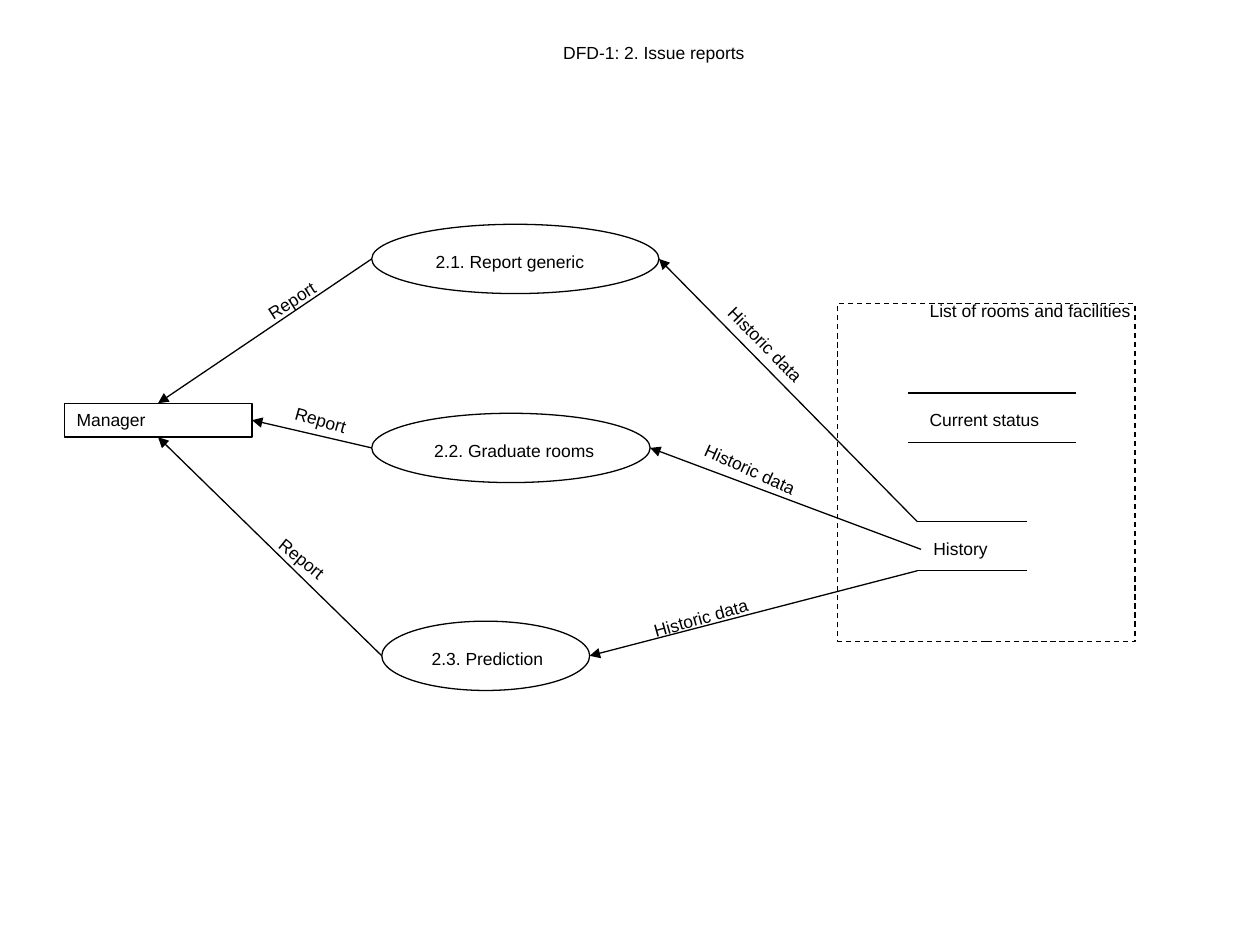
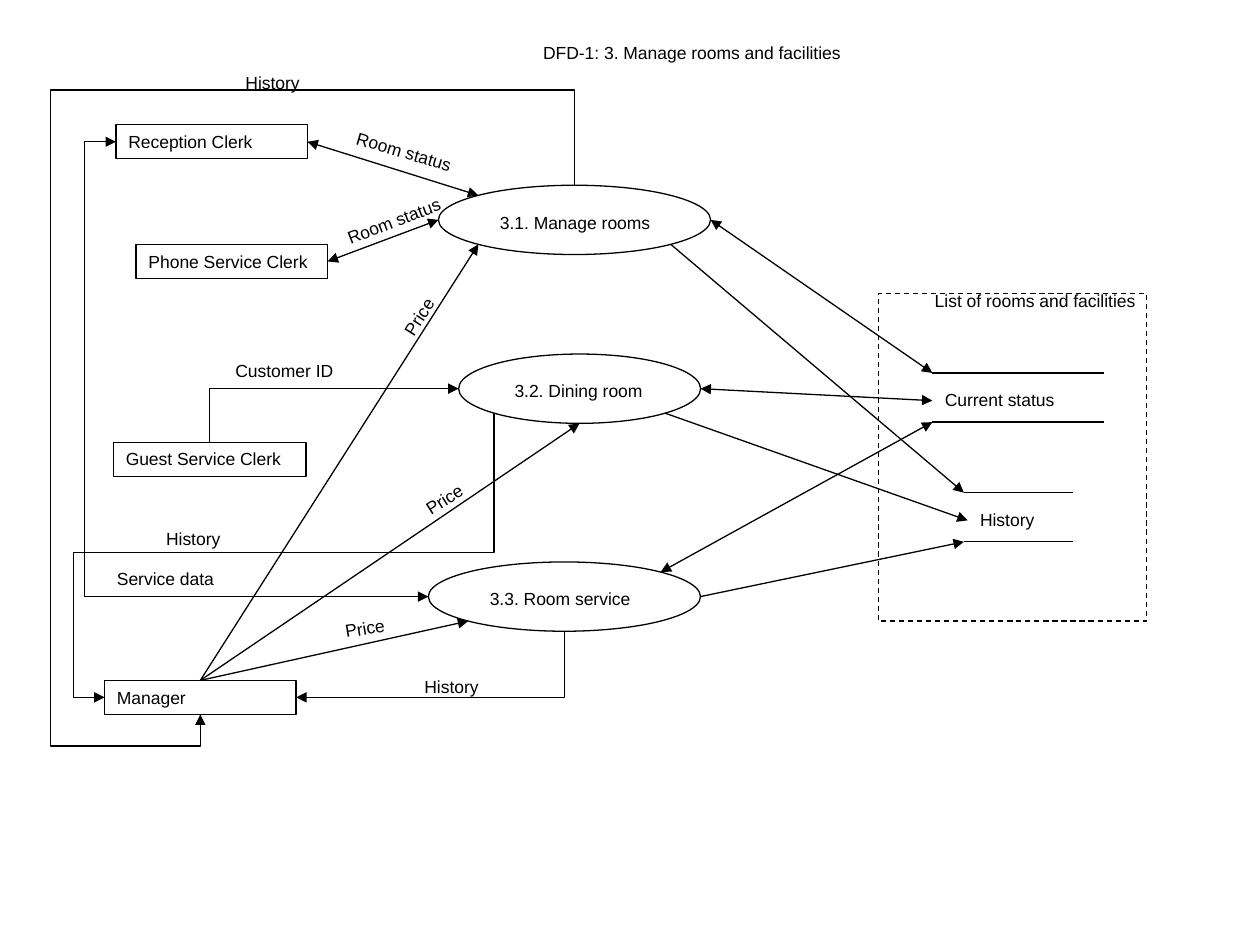
from dataclasses import dataclass
from math import cos, radians, sin

from lxml.etree import SubElement
from pptx import Presentation
from pptx.dml.color import RGBColor
from pptx.enum.dml import MSO_LINE
from pptx.enum.shapes import MSO_CONNECTOR, MSO_SHAPE
from pptx.enum.text import MSO_ANCHOR, MSO_AUTO_SIZE, PP_ALIGN
from pptx.oxml.ns import qn
from pptx.util import Inches, Pt


@dataclass(frozen=True)
class Theme:
    ink: RGBColor = RGBColor(0, 0, 0)
    font: str = "Arial"
    text_size: Pt = Pt(10)
    line_width: Pt = Pt(0.75)
    text_height: float = 0.27
    process_height: float = 0.55
    store_height: float = 0.39


THEME = Theme()

# Compass directions as clockwise angles from the right-hand side
EAST, SOUTHEAST, SOUTH, SOUTHWEST, WEST, NORTHWEST, NORTH, NORTHEAST = range(0, 360, 45)


def write_text(shape, text, wrap=True):
    """Write left-aligned text; one-line text gets a slim right margin so that it always fits."""
    frame = shape.text_frame
    frame.text = text
    frame.word_wrap = wrap
    frame.auto_size = MSO_AUTO_SIZE.SHAPE_TO_FIT_TEXT
    frame.vertical_anchor = MSO_ANCHOR.TOP
    frame.margin_left = Inches(0.1)
    frame.margin_right = Inches(0.1 if wrap else 0.02)
    frame.margin_top = frame.margin_bottom = Inches(0.05)
    paragraph = frame.paragraphs[0]
    paragraph.alignment = PP_ALIGN.LEFT
    font = paragraph.runs[0].font
    font.name = THEME.font
    font.size = THEME.text_size
    font.color.rgb = THEME.ink


def style_line(line):
    line.color.rgb = THEME.ink
    line.width = THEME.line_width


def add_title_slide(presentation, text, left, width):
    slide = presentation.slides.add_slide(presentation.slide_layouts[5])
    title = slide.shapes.title
    title.left, title.top = Inches(left), Inches(0.28)
    title.width, title.height = Inches(width), Inches(THEME.text_height)
    write_text(title, text, wrap=False)
    return slide


def add_label(slide, text, left, top, width, rotation=0, wrap=False):
    label = slide.shapes.add_textbox(
        Inches(left), Inches(top), Inches(width), Inches(THEME.text_height))
    write_text(label, text, wrap)
    label.rotation = rotation


def add_outline(slide, preset, left, top, width, height):
    shape = slide.shapes.add_shape(
        preset, Inches(left), Inches(top), Inches(width), Inches(height))
    shape.shadow.inherit = False
    shape.fill.background()
    style_line(shape.line)
    return shape


def add_entity(slide, text, left, top, width=1.52):
    entity = add_outline(slide, MSO_SHAPE.RECTANGLE, left, top, width, THEME.text_height)
    write_text(entity, text)
    return entity


def add_process(slide, text, left, top, width):
    process = add_outline(slide, MSO_SHAPE.OVAL, left, top, width, THEME.process_height)
    add_label(slide, text, left + 0.18 * width, top + 0.16, 0.73 * width, wrap=True)
    return process


def add_facilities_frame(slide, left, top, width, height, label_left):
    frame = add_outline(slide, MSO_SHAPE.RECTANGLE, left, top, width, height)
    frame.line.dash_style = MSO_LINE.DASH
    add_label(slide, "List of rooms and facilities", label_left, top - 0.08, 1.79)


def add_arrowheads(connector, start_head, end_head):
    line = connector.line._get_or_add_ln()
    for tag, wanted in (("a:headEnd", start_head), ("a:tailEnd", end_head)):
        if wanted:
            SubElement(line, qn(tag), type="triangle")


def add_line(slide, start, end, start_head=False, end_head=False, kind=MSO_CONNECTOR.STRAIGHT):
    connector = slide.shapes.add_connector(kind, *(Inches(value) for value in (*start, *end)))
    style_line(connector.line)
    SubElement(connector._element.spPr, qn("a:effectLst"))
    add_arrowheads(connector, start_head, end_head)
    return connector


def add_flow(slide, start, end, two_way=False):
    add_line(slide, start, end, start_head=two_way, end_head=True)


def add_elbow_flow(slide, start, end, bends, turn=0, adjustments=(), two_way=False):
    """Draw a bent arrow; turn rotates its unrotated box about the midpoint of the ends."""
    width, height = abs(end[0] - start[0]), abs(end[1] - start[1])
    if turn in (90, 270):
        width, height = height, width
    left = (start[0] + end[0] - width) / 2
    top = (start[1] + end[1] - height) / 2
    connector = add_line(slide, (left, top), (left + width, top + height),
                         two_way, True, MSO_CONNECTOR.ELBOW)
    properties = connector._element.spPr
    properties.find(qn("a:xfrm")).set("rot", str(turn * 60000))
    geometry = properties.find(qn("a:prstGeom"))
    geometry.set("prst", f"bentConnector{bends + 1}")
    guides = geometry.find(qn("a:avLst"))
    for number, share in enumerate(adjustments, start=1):
        SubElement(guides, qn("a:gd"), name=f"adj{number}", fmla=f"val {round(share * 100000)}")


def add_store(slide, text, left, top, width, text_left, text_width):
    """Draw a data store and return its top, middle and bottom points on the left."""
    bottom = top + THEME.store_height
    for y in (top, bottom):
        add_line(slide, (left, y), (left + width, y))
    add_label(slide, text, text_left, top + 0.08, text_width, wrap=True)
    return (left, top), (text_left, top + 0.22), (left, bottom)


def anchor(shape, angle):
    """Point in inches on an ellipse, or on a side's middle of a rectangle."""
    half_width, half_height = shape.width.inches / 2, shape.height.inches / 2
    return (shape.left.inches + half_width * (1 + cos(radians(angle))),
            shape.top.inches + half_height * (1 + sin(radians(angle))))


def build_issue_reports(presentation):
    slide = add_title_slide(presentation, "DFD-1: 2. Issue reports", 4.37, 1.64)
    add_facilities_frame(slide, 6.65, 2.41, 2.36, 2.68, label_left=7.28)
    manager = add_entity(slide, "Manager", 0.51, 3.2, 1.49)
    generic = add_process(slide, "2.1. Report generic", 2.95, 1.78, 2.28)
    graduate = add_process(slide, "2.2. Graduate rooms", 2.95, 3.28, 2.21)
    prediction = add_process(slide, "2.3. Prediction", 3.03, 4.93, 1.65)
    add_store(slide, "Current status", 7.21, 3.12, 1.33, 7.28, 1.26)
    history = add_store(slide, "History", 7.28, 4.14, 0.87, 7.31, 0.77)

    processes = (generic, graduate, prediction)
    for process, manager_side, history_point in zip(processes, (NORTH, EAST, SOUTH), history):
        add_flow(slide, anchor(process, WEST), anchor(manager, manager_side))
        add_flow(slide, history_point, anchor(process, EAST))

    for left, top, rotation in ((5.59, 2.6, 45.5), (5.47, 3.59, 24), (5.08, 4.77, 344.2)):
        add_label(slide, "Historic data", left, top, 0.97, rotation)
    for left, top, rotation in ((2.01, 2.25, 327.5), (2.24, 3.2, 16), (2.09, 4.3, 39.1)):
        add_label(slide, "Report", left, top, 0.61, rotation)


def build_manage_rooms(presentation):
    slide = add_title_slide(presentation, "DFD-1: 3. Manage rooms and facilities", 4.21, 2.56)
    add_facilities_frame(slide, 6.97, 2.33, 2.13, 2.6, label_left=7.32)
    rooms = add_process(slide, "3.1. Manage rooms", 3.48, 1.47, 2.16)
    dining = add_process(slide, "3.2. Dining room", 3.64, 2.81, 1.92)
    service = add_process(slide, "3.3. Room service", 3.4, 4.46, 2.16)
    status = add_store(slide, "Current status", 7.4, 2.96, 1.36, 7.4, 1.28)
    history = add_store(slide, "History", 7.65, 3.91, 0.87, 7.68, 0.78)
    reception = add_entity(slide, "Reception Clerk", 0.92, 0.99)
    phone = add_entity(slide, "Phone Service Clerk", 1.08, 1.94)
    guest = add_entity(slide, "Guest Service Clerk", 0.9, 3.51, 1.53)
    manager = add_entity(slide, "Manager", 0.83, 5.4)

    store_flows = ((rooms, EAST, SOUTHEAST), (dining, EAST, SOUTHEAST), (service, NORTHEAST, EAST))
    for (process, status_side, history_side), status_point, history_point in zip(
            store_flows, status, history):
        add_flow(slide, anchor(process, status_side), status_point, two_way=True)
        add_flow(slide, anchor(process, history_side), history_point)

    for process, side in ((rooms, SOUTHWEST), (dining, SOUTH), (service, SOUTHWEST)):
        add_flow(slide, anchor(manager, NORTH), anchor(process, side))
    add_flow(slide, anchor(reception, EAST), anchor(rooms, NORTHWEST), two_way=True)
    add_flow(slide, anchor(phone, EAST), anchor(rooms, WEST), two_way=True)

    add_elbow_flow(slide, anchor(reception, WEST), anchor(service, WEST), bends=2,
                   adjustments=(-0.1,), two_way=True)
    add_elbow_flow(slide, anchor(guest, NORTH), anchor(dining, WEST), bends=1, turn=270)
    add_elbow_flow(slide, anchor(rooms, NORTH), anchor(manager, SOUTH), bends=4, turn=90,
                   adjustments=(-0.18, 1.4, 1.06))
    add_elbow_flow(slide, anchor(dining, SOUTHWEST), anchor(manager, WEST), bends=3, turn=90,
                   adjustments=(0.49, 1.08))
    add_elbow_flow(slide, anchor(service, SOUTH), anchor(manager, EAST), bends=1, turn=90)

    for left, top in ((1.85, 0.52), (1.22, 4.14), (3.27, 5.32)):
        add_label(slide, "History", left, top, 0.63)
    for left, top, rotation in ((3.07, 2.38, 302.5), (3.27, 3.83, 327.7), (2.64, 4.85, 350.6)):
        add_label(slide, "Price", left, top, 0.51, rotation)
    for left, top, rotation in ((2.72, 1.07, 16.4), (2.64, 1.62, 338.9)):
        add_label(slide, "Room status", left, top, 0.97, rotation)
    add_label(slide, "Customer ID", 1.77, 2.81, 0.97)
    add_label(slide, "Service data", 0.83, 4.46, 0.97)


def main():
    presentation = Presentation()
    presentation.slide_width = Inches(10)
    presentation.slide_height = Inches(7.5)
    build_issue_reports(presentation)
    build_manage_rooms(presentation)
    presentation.save("out.pptx")


if __name__ == "__main__":
    main()
